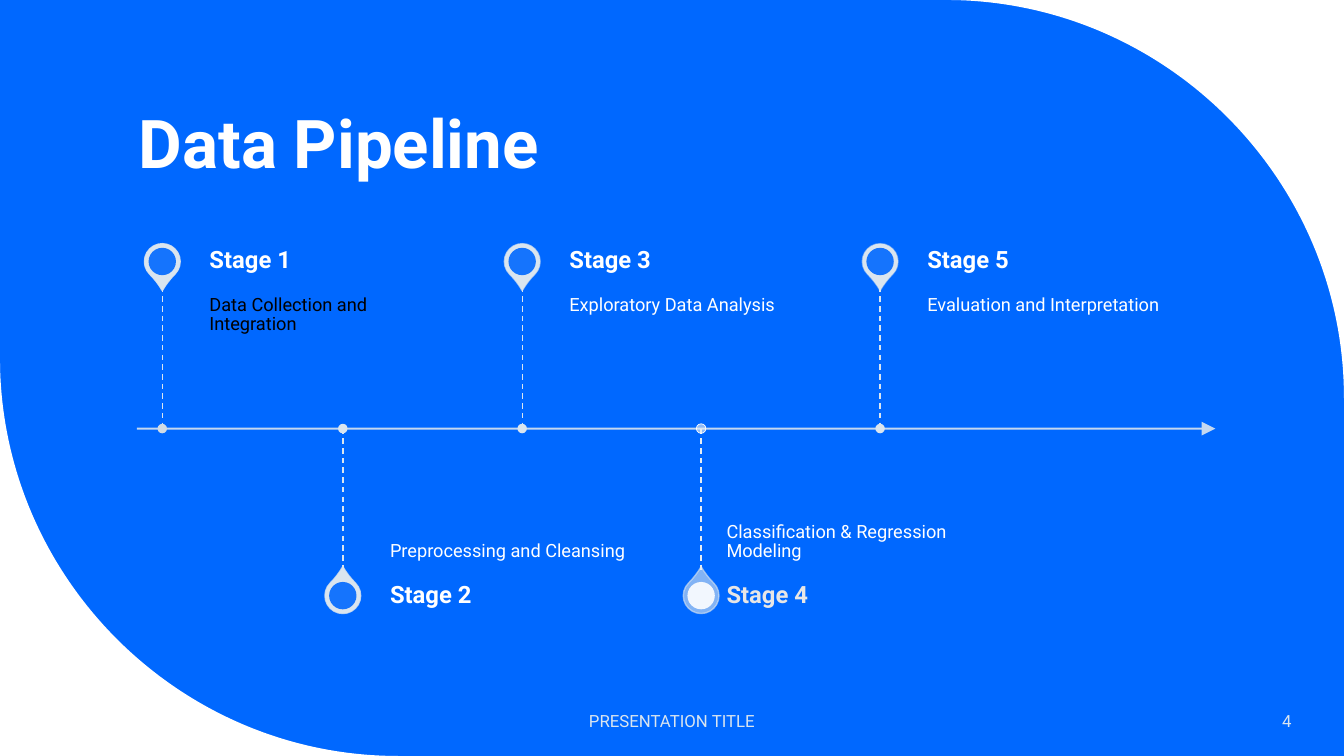
from lxml.etree import Element, SubElement
from pptx import Presentation
from pptx.dml.color import RGBColor
from pptx.enum.dml import MSO_LINE
from pptx.enum.shapes import MSO_CONNECTOR, MSO_SHAPE
from pptx.enum.text import MSO_ANCHOR, MSO_AUTO_SIZE, PP_ALIGN
from pptx.oxml.ns import qn
from pptx.util import Cm, Pt

BLUE, WHITE, MIST, PALE = "0068FF", "FFFFFF", "DAE5EF", "E6EDF3"
TITLE = "Data Pipeline"
FOOTER = "PRESENTATION TITLE"
NUMBER = "4"

# centre in cm, name, detail; what differs from BASE
BASE = {"gap": 1.19, "wide": 6.43, "name": WHITE, "detail": WHITE,
        "pin": 100, "eye": BLUE, "stem": MIST, "dot": MIST,
        "clear": 100, "ring": None}
STAGES = [
    (4.09, "Stage 1", "Data Collection and Integration",
     {"detail": "000000", "dot": "D0DBE4"}),
    (8.64, "Stage 2", "Preprocessing and Cleansing", {}),
    (13.16, "Stage 3", "Exploratory Data Analysis", {}),
    (17.67, "Stage 4", "Classification & Regression Modeling",
     {"gap": 0.64, "wide": 7.52, "name": "E7E6E6", "pin": 60, "eye": WHITE,
      "stem": PALE, "dot": PALE, "clear": 62, "ring": WHITE}),
    (22.18, "Stage 5", "Evaluation and Interpretation", {}),
]

# Centimetres
WIDE, HIGH, CURVE = 33.87, 19.05, 10.03
AXIS, START, END = 10.8, 3.45, 30.63
STEM, REACH, HEAD = 3.58, 4.21, 1.27
PIN, EYE, DOT = 0.9, 0.69, 0.24
BEND = 0.45  # share of the radius left between a handle and the corner

deck = Presentation()
deck.slide_width, deck.slide_height = Cm(WIDE), Cm(HIGH)
slide = deck.slides.add_slide(deck.slide_layouts[6])
shapes = slide.shapes


def paint(fill, color):
    fill.solid()
    fill.fore_color.rgb = RGBColor.from_string(color)


def fade(shape, route, alpha):
    """Set the opacity, in percent, of the colour found at route."""
    if alpha < 100:
        color = shape._element.spPr.find("/".join(map(qn, route)))
        SubElement(color, qn("a:alpha"), val=str(alpha * 1000))


def style(shape, color, alpha=100, edge=None, width=1, veil=100):
    shape.shadow.inherit = False
    paint(shape.fill, color)
    fade(shape, ["a:solidFill", "a:srgbClr"], alpha)
    if edge:
        paint(shape.line.fill, edge)
        shape.line.width = Pt(width)
        fade(shape, ["a:ln", "a:solidFill", "a:srgbClr"], veil)
    else:
        shape.line.fill.background()


def spot(kind, x, y, size, *look):
    """Add a shape centred on x, y."""
    shape = shapes.add_shape(kind, Cm(x - size / 2), Cm(y - size / 2),
                             Cm(size), Cm(size))
    style(shape, *look)
    return shape


def rule(x1, y1, x2, y2, color, width):
    line = shapes.add_connector(MSO_CONNECTOR.STRAIGHT,
                                Cm(x1), Cm(y1), Cm(x2), Cm(y2))
    paint(line.line.fill, color)
    line.line.width = Pt(width)
    SubElement(line._element.spPr, qn("a:effectLst"))
    return line


def write(text, box, size, color, bold=False, inset=(0.25, 0.13, 0.25, 0.13),
          anchor=MSO_ANCHOR.MIDDLE, align=PP_ALIGN.LEFT, space=0.9,
          fit=MSO_AUTO_SIZE.NONE):
    frame = shapes.add_textbox(*map(Cm, box)).text_frame
    left, top, right, base = map(Cm, inset)
    para = frame.paragraphs[0]
    run = para.add_run()
    run.text = text
    formats = [
        (frame, {"word_wrap": True, "vertical_anchor": anchor,
                 "auto_size": fit,
                 "margin_left": left, "margin_top": top,
                 "margin_right": right, "margin_bottom": base}),
        (para, {"alignment": align, "line_spacing": space}),
        (run.font, {"name": "Roboto", "size": Pt(size), "bold": bold}),
    ]
    for part, values in formats:
        for key, value in values.items():
            setattr(part, key, value)
    paint(run.font.fill, color)


def corner(x, y, side):
    """Fill the area between the slide corner x, y and a quarter circle."""
    across, down = -side * CURVE, side * CURVE
    points = [(x + across, y), (x + across * BEND, y),
              (x, y + down * BEND), (x, y + down)]
    # The two handles lie on the edges; the end points touch the circle.
    outline = shapes.build_freeform(Cm(x), Cm(y))
    outline.add_line_segments([(Cm(a), Cm(b)) for a, b in points], close=True)
    shape = outline.convert_to_shape()
    style(shape, WHITE)
    trace = next(shape._element.iter(qn("a:path")))
    curve = Element(qn("a:cubicBezTo"))
    for step in list(trace)[2:5]:
        curve.append(step[0])
        trace.remove(step)
    trace.insert(2, curve)


def stage(index, x, name, detail, changes):
    look = BASE | changes
    up = index % 2 == 0
    side = -1 if up else 1
    tip, head = AXIS + side * STEM, AXIS + side * REACH
    left, wide = x + look["gap"], look["wide"]

    pin = spot(MSO_SHAPE.TEAR, x, head, PIN, MIST, look["pin"],
               MIST, 1, 90 - 10 * index)
    pin.adjustments[0] = 1.15
    pin.rotation = 135 if up else 315
    spot(MSO_SHAPE.OVAL, x, head, EYE, look["eye"], 90)
    write(detail, (left, min(tip, AXIS), wide, STEM), 13, look["detail"],
          inset=(0, 0.23, 0.23, 0.36) if up else (0, 0.36, 0, 0.23),
          anchor=MSO_ANCHOR.TOP if up else MSO_ANCHOR.BOTTOM,
          fit=MSO_AUTO_SIZE.TEXT_TO_FIT_SHAPE)
    write(name, (left, tip - HEAD if up else tip, wide, HEAD), 17,
          look["name"], True, (0, 0, 0.3, 0))
    stem = rule(x, min(tip, AXIS), x, max(tip, AXIS), look["stem"], 1)
    stem.line.dash_style = MSO_LINE.DASH
    spot(MSO_SHAPE.OVAL, x, AXIS, DOT, look["dot"], look["clear"],
         look["ring"], 0.5)


paint(slide.background.fill, BLUE)
corner(WIDE, 0, 1)
corner(0, HIGH, -1)
write(TITLE, (3.25, 1.07, 27.15, 3.68), 48, WHITE, True,
      anchor=MSO_ANCHOR.BOTTOM)

axis = rule(START, AXIS, END, AXIS, MIST, 1.5)
fade(axis, ["a:ln", "a:solidFill", "a:srgbClr"], 90)
SubElement(axis._element.spPr.find(qn("a:ln")), qn("a:tailEnd"),
           type="triangle", w="lg", len="lg")
for index, entry in enumerate(STAGES):
    stage(index, *entry)

write(FOOTER, (11.22, 17.65, 11.43, 1.02), 12, MIST,
      align=PP_ALIGN.CENTER, space=1.0)
write(NUMBER, (28.2, 17.65, 4.6, 1.02), 12, MIST,
      align=PP_ALIGN.RIGHT, space=1.0)

deck.save("out.pptx")
